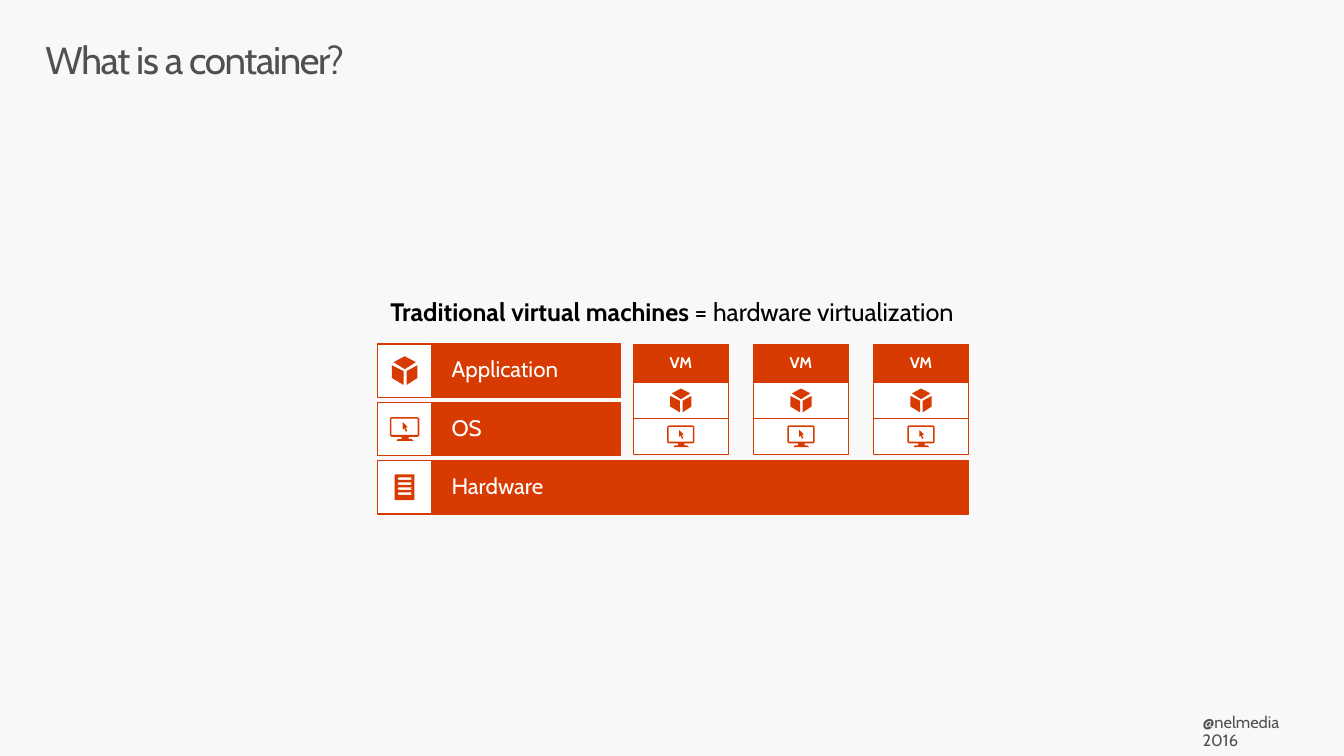
from dataclasses import dataclass
from typing import NamedTuple

from pptx import Presentation
from pptx.dml.color import RGBColor as Rgb
from pptx.enum.shapes import MSO_SHAPE as Preset
from pptx.enum.text import MSO_ANCHOR as Anchor, PP_ALIGN as Align
from pptx.util import Pt


@dataclass(frozen=True)
class Theme:
    font: str = "Cabin"
    paper: Rgb = Rgb(0xF8, 0xF8, 0xF8)
    gray: Rgb = Rgb(0x50, 0x50, 0x50)
    black: Rgb = Rgb(0, 0, 0)
    white: Rgb = Rgb(0xFF, 0xFF, 0xFF)
    orange: Rgb = Rgb(0xD8, 0x3B, 0x01)
    title: float = 28
    heading: float = 18.4
    layer: float = 16.3
    footer: float = 12
    vm: float = 11.2
    border: float = 0.85


class Box(NamedTuple):
    left: float
    top: float
    width: float
    height: float


class Insets(NamedTuple):
    left: float
    top: float
    right: float
    bottom: float


class Icon(NamedTuple):
    """Pieces made of closed contours, in tenths of a point."""
    width: int
    height: int
    pieces: list


class Layer(NamedTuple):
    name: str
    width: float
    icon: Icon


THEME = Theme()
LAYER_INSETS = Insets(14.4, 11.5, 14.4, 11.5)
VM_INSETS = Insets(3.6, 3.6, 3.6, 3.6)

# Icon outlines
CUBE = Icon(187, 209, [
    [[(86, 108), (86, 209), (0, 158), (0, 65)]],
    [[(108, 108), (108, 209), (187, 158), (187, 65)]],
    [[(94, 94), (14, 43), (94, 0), (176, 43)]],
])
MONITOR = Icon(216, 173, [
    [[(12, 0), (204, 0), (216, 12), (216, 132), (204, 144), (137, 144),
      (137, 158), (158, 158), (173, 173), (50, 173), (60, 158), (86, 158),
      (86, 144), (12, 144), (0, 132), (0, 12)],
     [(12, 12), (204, 12), (204, 130), (12, 130)]],
    [[(94, 36), (130, 73), (116, 78), (128, 102), (117, 107), (106, 82),
      (94, 92)]],
])
SLOT_TOPS = [22 + 36 * row for row in range(4)]
SERVER = Icon(144, 187, [
    [[(0, 0), (144, 0), (144, 187), (0, 187)]]
    + [[(28, y), (122, y), (130, y + 9), (122, y + 18), (28, y + 18),
        (20, y + 9)] for y in SLOT_TOPS],
] + [
    # Status lights at the end of each slot
    [[(116, y + 9), (122, y + 4), (128, y + 9), (122, y + 14)]]
    for y in SLOT_TOPS
])

# Diagram grid
ICON_LEFT, ICON_WIDTH = 275, 39.6
LAYER_TOP, LAYER_HEIGHT, LAYER_PITCH = 250.6, 38.9, 42.5
LAYER_LEFT = ICON_LEFT + ICON_WIDTH
VM_LEFT, VM_TOP, VM_WIDTH, VM_PITCH = 461.5, 251.3, 69.1, 87.5
VM_HEADER, VM_CELL = 27.4, 26.1
LAYERS = [
    Layer("Application", 137.5, CUBE),
    Layer("OS", 137.5, MONITOR),
    Layer("Hardware", 391, SERVER),
]
VM_ICONS = [(CUBE, 0.83), (MONITOR, 0.92)]


def write(shape, texts: list[tuple[str, bool]], size: float, color: Rgb,
          insets: Insets, align=Align.LEFT, anchor=Anchor.TOP,
          after: float = 0, tracking: int = 0) -> None:
    frame = shape.text_frame
    frame.word_wrap = True
    frame.vertical_anchor = anchor
    frame.margin_left, frame.margin_top = Pt(insets.left), Pt(insets.top)
    frame.margin_right, frame.margin_bottom = Pt(insets.right), Pt(insets.bottom)
    line = frame.paragraphs[0]
    line.alignment = align
    line.line_spacing = 0.9
    line.space_after = Pt(after)
    line.font.name = THEME.font
    line.font.size = Pt(size)
    line.font.color.rgb = color
    for text, bold in texts:
        run = line.add_run()
        run.text = text
        run.font.bold = bold
        if tracking:
            run._r.get_or_add_rPr().set("spc", str(tracking))


def add_text(slide, box: Box):
    return slide.shapes.add_textbox(*map(Pt, box))


def add_rect(slide, box: Box, fill: Rgb):
    rect = slide.shapes.add_shape(Preset.RECTANGLE, *map(Pt, box))
    rect.shadow.inherit = False
    rect.fill.solid()
    rect.fill.fore_color.rgb = fill
    rect.line.color.rgb = THEME.orange
    rect.line.width = Pt(THEME.border)
    return rect


def add_icon_cell(slide, box: Box, icon: Icon, scale: float = 1) -> None:
    """White cell with the icon in its middle."""
    add_rect(slide, box, THEME.white)
    unit = scale / 10
    left = box.left + (box.width - icon.width * unit) / 2
    top = box.top + (box.height - icon.height * unit) / 2
    for first, *holes in icon.pieces:
        outline = slide.shapes.build_freeform(*first[0], scale=Pt(1) * unit)
        outline.add_line_segments(first[1:], close=True)
        for hole in holes:
            outline.move_to(*hole[0])
            outline.add_line_segments(hole[1:], close=True)
        piece = outline.convert_to_shape(Pt(left), Pt(top))
        piece.shadow.inherit = False
        piece.fill.solid()
        piece.fill.fore_color.rgb = THEME.orange
        piece.line.fill.background()


def add_layer(slide, index: int, layer: Layer) -> None:
    top = LAYER_TOP + index * LAYER_PITCH
    bar = add_rect(slide, Box(LAYER_LEFT, top, layer.width, LAYER_HEIGHT),
                   THEME.orange)
    write(bar, [(layer.name, False)], THEME.layer, THEME.white, LAYER_INSETS,
          anchor=Anchor.MIDDLE)
    add_icon_cell(slide, Box(ICON_LEFT, top, ICON_WIDTH, LAYER_HEIGHT),
                  layer.icon)


def add_vm(slide, index: int) -> None:
    left = VM_LEFT + index * VM_PITCH
    for row, (icon, scale) in enumerate(VM_ICONS):
        top = VM_TOP + VM_HEADER + row * VM_CELL
        add_icon_cell(slide, Box(left, top, VM_WIDTH, VM_CELL), icon, scale)
    header = add_rect(slide, Box(left, VM_TOP, VM_WIDTH, VM_HEADER), THEME.orange)
    write(header, [("VM", True)], THEME.vm, THEME.white, VM_INSETS,
          Align.CENTER, Anchor.MIDDLE, after=6.1)


def main() -> None:
    deck = Presentation()
    deck.slide_width, deck.slide_height = Pt(979.2), Pt(550.8)
    slide = deck.slides.add_slide(deck.slide_layouts[6])
    slide.background.fill.solid()
    slide.background.fill.fore_color.rgb = THEME.paper

    # Footer, title and heading
    footer = add_text(slide, Box(861.8, 514.1, 113, 36))
    write(footer, [("@nelmedia 2016", False)], THEME.footer, THEME.gray,
          Insets(14.4, 6.5, 21.6, 3), after=6)
    title = add_text(slide, Box(21.6, 23, 936, 72))
    write(title, [("What is a container?", False)], THEME.title, THEME.gray,
          Insets(11.5, 7.2, 11.5, 7.2), tracking=-100)
    heading = add_text(slide, Box(0, 218.2, 979.2, 31.7))
    write(heading, [("Traditional virtual machines ", True),
                    ("= hardware virtualization", False)],
          THEME.heading, THEME.black, Insets(14.4, 0, 14.4, 11.5),
          Align.CENTER, after=6.1)

    # Host layers and the virtual machines beside them
    for index, layer in enumerate(LAYERS):
        add_layer(slide, index, layer)
    for index in range(3):
        add_vm(slide, index)

    deck.save("out.pptx")


if __name__ == "__main__":
    main()
